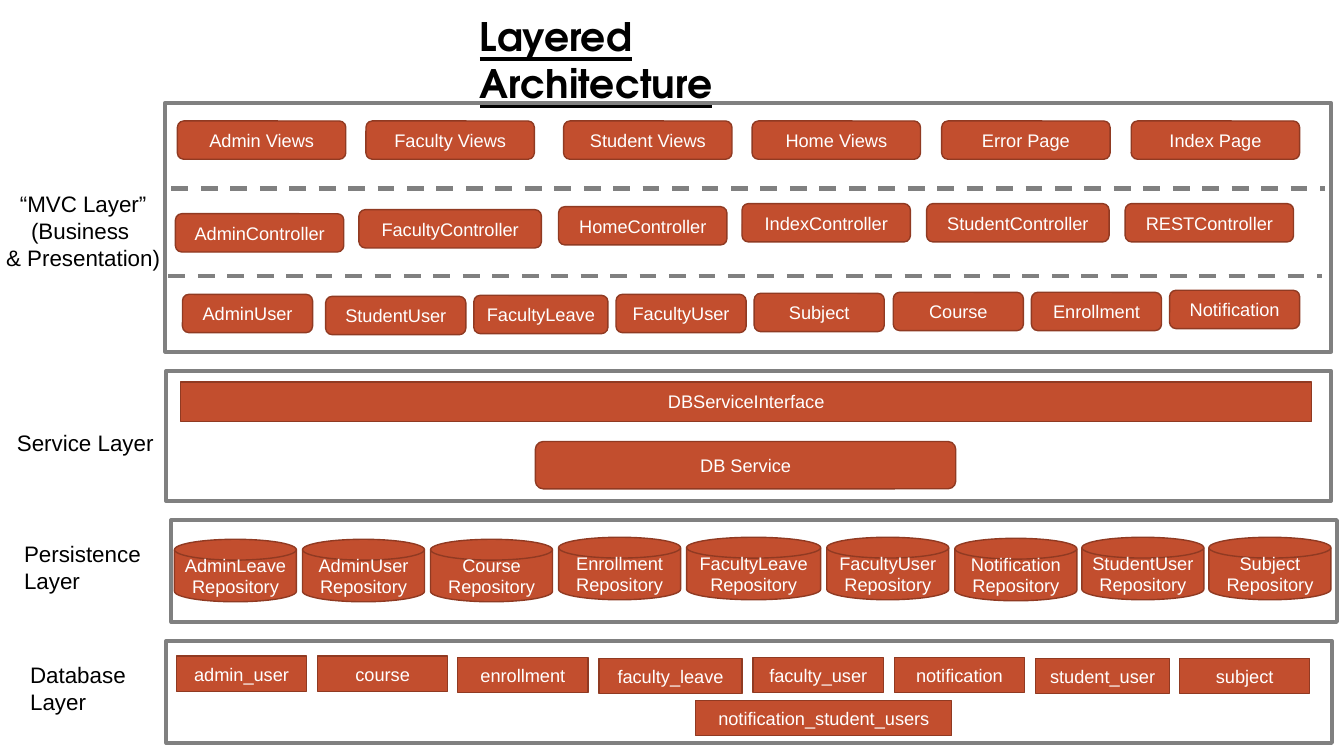
import pptx
import pptx.dml.color
import pptx.enum.dml
import pptx.enum.shapes
import pptx.enum.text
import pptx.oxml.ns
import pptx.util
from lxml import etree

Inches, Pt = pptx.util.Inches, pptx.util.Pt
SHAPE = pptx.enum.shapes.MSO_SHAPE
ALIGN = pptx.enum.text.PP_ALIGN
ANCHOR = pptx.enum.text.MSO_ANCHOR

RUST, RUST_EDGE, GRAY, BLACK, WHITE = "C24E2E", "903A22", "808080", "000000", "FFFFFF"
TITLE = "Layered Architecture"

# left, top, width, height
FRAMES = [
    (1.64, 1.02, 11.56, 2.47),
    (1.65, 3.68, 11.55, 1.29),
    (1.7, 5.16, 11.56, 1.01),
    (1.65, 6.36, 11.56, 1.01),
]
# text, left, top, width, height, alignment
LABELS = [
    ("“MVC Layer”\n(Business \n& Presentation)", -0.05, 1.84, 1.75, 0.91, ALIGN.CENTER),
    ("Service Layer", 0.07, 4.21, 1.57, 0.37, ALIGN.LEFT),
    ("Persistence\nLayer", 0.14, 5.31, 1.44, 0.64, ALIGN.LEFT),
    ("Database\nLayer", 0.2, 6.51, 1.22, 0.64, ALIGN.LEFT),
]
# left, top
DIVIDERS = [(1.7, 1.87), (1.67, 2.74)]
DIVIDER_WIDTH = 11.44

# shape, usual width, height, boxes as (text, left, top[, own width])
ROWS = [
    (SHAPE.ROUNDED_RECTANGLE, 1.67, 0.38, [
        ("Admin Views", 1.76, 1.2), ("Faculty Views", 3.63, 1.2),
        ("Student Views", 5.59, 1.2), ("Home Views", 7.46, 1.2),
        ("Error Page", 9.34, 1.2), ("Index Page", 11.22, 1.2)]),
    (SHAPE.ROUNDED_RECTANGLE, 1.67, 0.38, [
        ("AdminController", 1.74, 2.12), ("FacultyController", 3.56, 2.08, 1.81),
        ("HomeController", 5.54, 2.05), ("IndexController", 7.36, 2.02),
        ("StudentController", 9.19, 2.02, 1.81), ("RESTController", 11.16, 2.02)]),
    (SHAPE.ROUNDED_RECTANGLE, 1.29, 0.38, [
        ("AdminUser", 1.81, 2.92), ("StudentUser", 3.23, 2.94, 1.39),
        ("FacultyLeave", 4.7, 2.93, 1.33), ("FacultyUser", 6.11, 2.92),
        ("Subject", 7.48, 2.91), ("Course", 8.86, 2.9),
        ("Enrollment", 10.23, 2.9), ("Notification", 11.6, 2.88)]),
    (SHAPE.RECTANGLE, 11.22, 0.39, [("DBServiceInterface", 1.79, 3.79)]),
    (SHAPE.ROUNDED_RECTANGLE, 4.17, 0.47, [("DB Service", 5.31, 4.38)]),
    (SHAPE.FLOWCHART_MAGNETIC_DISK, 1.21, 0.62, [
        ("AdminLeave\nRepository", 1.73, 5.35), ("AdminUser\nRepository", 3, 5.35),
        ("Course\nRepository", 4.27, 5.35), ("Enrollment\nRepository", 5.54, 5.33),
        ("FacultyLeave\nRepository", 6.81, 5.33, 1.33),
        ("FacultyUser\nRepository", 8.2, 5.33),
        ("Notification\nRepository", 9.47, 5.34),
        ("StudentUser\nRepository", 10.73, 5.33), ("Subject\nRepository", 11.99, 5.33)]),
    (SHAPE.RECTANGLE, 1.29, 0.35, [
        ("admin_user", 1.75, 6.51), ("course", 3.15, 6.51), ("enrollment", 4.54, 6.52),
        ("faculty_leave", 5.94, 6.53, 1.42), ("faculty_user", 7.47, 6.52),
        ("notification", 8.87, 6.52), ("student_user", 10.27, 6.53, 1.33),
        ("subject", 11.7, 6.53), ("notification_student_users", 6.9, 6.95, 2.54)]),
]


def rgb(color):
    return pptx.dml.color.RGBColor.from_string(color)


def write(tf, text, size=13, color=WHITE, font="Arial", align=ALIGN.CENTER,
          bold=False, underline=False):
    for i, line in enumerate(text.split("\n")):
        p = tf.paragraphs[0] if i == 0 else tf.add_paragraph()
        p.alignment = align
        p.line_spacing = 1.0
        r = p.add_run()
        r.text = line
        r.font.size, r.font.name = Pt(size), font
        r.font.bold, r.font.underline = bold, underline
        r.font.color.rgb = rgb(color)


def add_box(s, kind, left, top, width, height, fill=None, edge=GRAY, weight=3):
    sp = s.shapes.add_shape(kind, *map(Inches, (left, top, width, height)))
    sp.shadow.inherit = False
    if fill:
        sp.fill.solid()
        sp.fill.fore_color.rgb = rgb(fill)
    else:
        sp.fill.background()
    sp.line.color.rgb = rgb(edge)
    sp.line.width = Pt(weight)
    return sp


def add_divider(s, left, top):
    y = Inches(top)
    line = s.shapes.add_connector(pptx.enum.shapes.MSO_CONNECTOR.STRAIGHT,
                                  Inches(left), y, Inches(left + DIVIDER_WIDTH), y)
    line.line.color.rgb = rgb(GRAY)
    line.line.width = Pt(3)
    line.line.dash_style = pptx.enum.dml.MSO_LINE.DASH
    etree.SubElement(line._element.spPr, pptx.oxml.ns.qn("a:effectLst"))


def add_title(s):
    sp = s.shapes.title
    sp.left, sp.top, sp.width, sp.height = map(Inches, (4.66, 0.07, 3.42, 0.57))
    tf = sp.text_frame
    tf.word_wrap = True
    tf.auto_size = pptx.enum.text.MSO_AUTO_SIZE.NONE
    tf.vertical_anchor = ANCHOR.TOP
    write(tf, TITLE, size=28, color=BLACK, font="TeX Gyre Adventor",
          align=ALIGN.LEFT, bold=True, underline=True)


def main():
    prs = pptx.Presentation()
    prs.slide_width, prs.slide_height = Inches(13.33), Inches(7.5)
    s = prs.slides.add_slide(prs.slide_layouts[5])
    add_title(s)

    for frame in FRAMES:
        add_box(s, SHAPE.RECTANGLE, *frame)
    for text, left, top, width, height, align in LABELS:
        sp = s.shapes.add_textbox(*map(Inches, (left, top, width, height)))
        sp.text_frame.word_wrap = False
        write(sp.text_frame, text, size=16, color=BLACK, align=align)
    for left, top in DIVIDERS:
        add_divider(s, left, top)

    for kind, usual_width, height, boxes in ROWS:
        for text, left, top, *own_width in boxes:
            width = own_width[0] if own_width else usual_width
            sp = add_box(s, kind, left, top, width, height, RUST, RUST_EDGE, 1)
            tf = sp.text_frame
            tf.margin_left = tf.margin_right = 0
            tf.vertical_anchor = ANCHOR.MIDDLE
            write(tf, text)

    prs.save("out.pptx")


if __name__ == "__main__":
    main()
